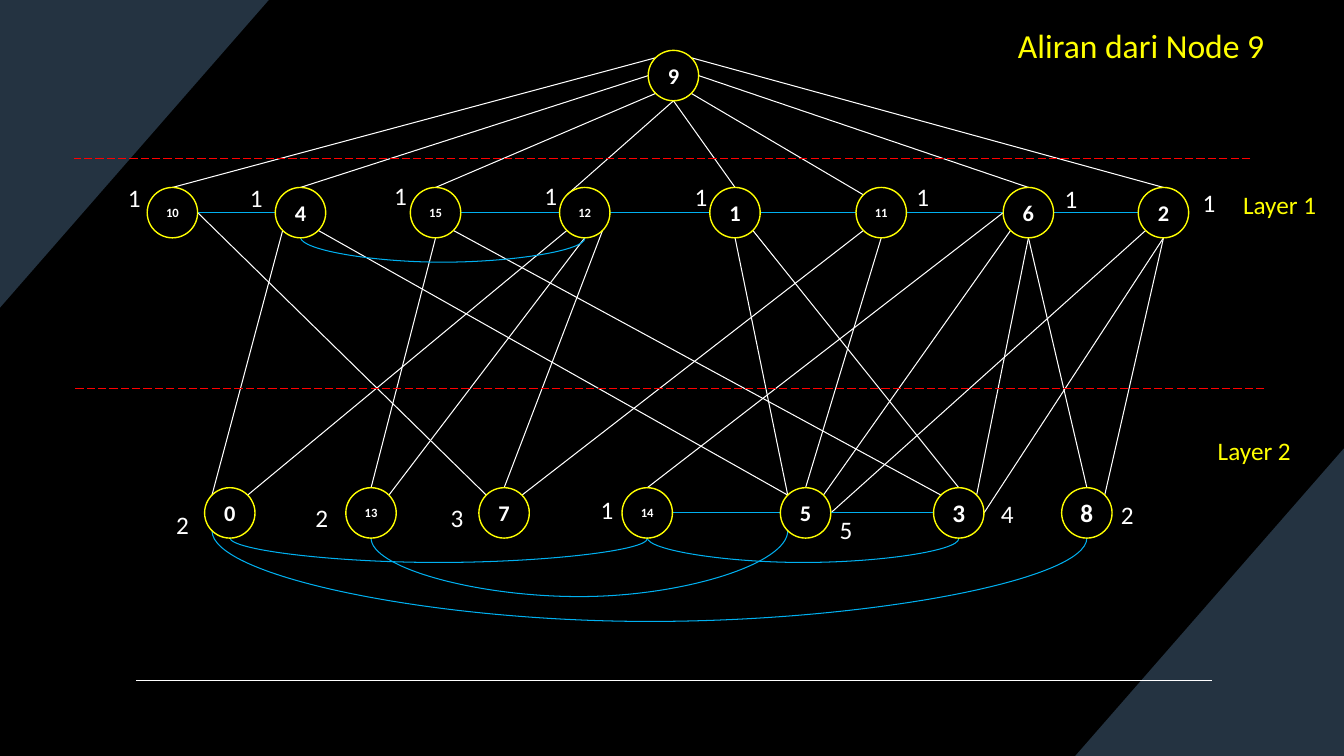
import collections
import dataclasses
import math

import lxml.etree
import pptx
import pptx.dml.color
import pptx.enum.dml
import pptx.enum.shapes
import pptx.enum.text
import pptx.oxml.ns
import pptx.util

Box = collections.namedtuple("Box", "x y w h")
Node = collections.namedtuple("Node", "x y size weight dx dy")


@dataclasses.dataclass(frozen=True)
class Theme:
    """Colours, type sizes and line widths of the slide."""
    back: str = "000000"
    corner: str = "243341"
    ink: str = "FFFFFF"
    accent: str = "FFFF00"
    peer: str = "00B0F0"
    divider: str = "FF0000"
    font: str = "Calibri"
    title: int = 24
    label: int = 18
    thin: float = 0.75
    rule: float = 1


THEME = Theme()
SLIDE = Box(0, 0, 13.33, 7.5)
DIAMETER = 0.5
COMPASS = ["E", "SE", "S", "SW", "W", "NW", "N", "NE"]
ROOT, LAYER_1, LAYER_2 = 0.1, 0.2813, 0.6785

NODES = {
    "9": Node(0.5011, ROOT, 16, "", 0, 0),
    "10": Node(0.1283, LAYER_1, 9, "1", -1.08, -0.7),
    "4": Node(0.2236, LAYER_1, 16, "1", -1.2, -0.7),
    "15": Node(0.3241, LAYER_1, 9, "1", -1.02, -0.74),
    "12": Node(0.4351, LAYER_1, 9, "1", -1, -0.74),
    "1": Node(0.5469, LAYER_1, 16, "1", -1, -0.72),
    "11": Node(0.6557, LAYER_1, 9, "1", 0.5, -0.72),
    "6": Node(0.7652, LAYER_1, 16, "1", 0.52, -0.68),
    "2": Node(0.8657, LAYER_1, 16, "1", 0.58, -0.6),
    "0": Node(0.171, LAYER_2, 16, "2", -1.26, -0.18),
    "13": Node(0.2761, LAYER_2, 9, "2", -1.3, -0.3),
    "7": Node(0.3751, LAYER_2, 16, "3", -1.26, -0.3),
    "14": Node(0.4816, LAYER_2, 9, "1", -1.12, -0.46),
    "5": Node(0.5994, LAYER_2, 16, "5", 0.48, -0.08),
    "3": Node(0.7134, LAYER_2, 18, "4", 0.64, -0.38),
    "8": Node(0.8087, LAYER_2, 18, "2", 0.48, -0.36),
}
TREE_EDGES = """
9:NW-10:N 9:W-4:N 9:SW-15:N 9:S-12:NW 9:S-1:N 9:SE-11:NW 9:E-6:N 9:NE-2:N
10:E-7:NW 4:SW-0:NW 4:SE-5:NW 15:S-13:N 15:SE-3:NW 12:SW-0:NE 12:S-13:NE
12:SE-7:N 1:S-5:NW 1:SE-3:N 11:SW-7:NE 11:S-5:N 6:W-14:N 6:SW-5:NE 6:S-3:NE
6:S-8:N 2:SW-5:E 2:S-3:E 2:S-8:NE
""".split()
PEER_EDGES = """
10:E-4:W 15:E-12:W 12:E-1:W 1:E-11:W 11:E-6:W 6:E-2:W 14:E-5:W 5:E-3:W
""".split()
PEER_CURVES = {"4:S-12:S": 0.5, "14:S-3:S": 0.5, "0:S-14:S": 0.5,
               "0:SW-8:S": 1.8, "13:S-5:SW": 1.16}


def rgb(value):
    """Return a colour object for a hex value."""
    return pptx.dml.color.RGBColor.from_string(value)


def inches(*values):
    """Convert lengths in inches to slide units."""
    return [pptx.util.Inches(v) for v in values]


def style_text(tf, text, size, color, bold=False):
    """Set a frame to one unwrapped line of styled text."""
    tf.text = text
    tf.word_wrap = False
    font = tf.paragraphs[0].runs[0].font
    font.name, font.size, font.bold = THEME.font, pptx.util.Pt(size), bold
    font.color.rgb = rgb(color)


def add_text(s, box, text, size, color):
    """Place a text box."""
    tb = s.shapes.add_textbox(*inches(*box))
    style_text(tb.text_frame, text, size, color)


def add_line(s, start, end, color, width=THEME.thin, kind="STRAIGHT"):
    """Draw a connector without shadow between two points."""
    kind = getattr(pptx.enum.shapes.MSO_CONNECTOR, kind)
    c = s.shapes.add_connector(kind, *inches(*start, *end))
    c.line.color.rgb = rgb(color)
    c.line.width = pptx.util.Pt(width)
    lxml.etree.SubElement(c._element.spPr, pptx.oxml.ns.qn("a:effectLst"))
    return c


def add_hanging_curve(s, start, end, depth, color):
    """Draw a curve from left to right that sags below its start."""
    (x1, y1), (x2, y2) = start, end
    across, span = max(abs(y2 - y1), 0.01), x2 - x1
    falling = y2 >= y1
    cx, cy = (x1 + x2) / 2, (y1 + y2) / 2
    left, top = cx - across / 2, cy - span / 2
    c = add_line(s, (left, top), (left + across, top + span), color, kind="CURVE")
    xfrm = c._element.spPr.find(pptx.oxml.ns.qn("a:xfrm"))
    xfrm.set("rot", str(270 * 60000))
    if falling:
        xfrm.set("flipH", "1")
    bend = depth / across if falling else -depth / across
    geom = c._element.spPr.find(pptx.oxml.ns.qn("a:prstGeom"))
    guides = geom.find(pptx.oxml.ns.qn("a:avLst"))
    if guides is None:
        guides = lxml.etree.SubElement(geom, pptx.oxml.ns.qn("a:avLst"))
    lxml.etree.SubElement(guides, pptx.oxml.ns.qn("a:gd"),
                          name="adj1", fmla=f"val {round(bend * 100000)}")


def center(box, name):
    """Return the centre of a node inside the box."""
    return box.x + NODES[name].x * box.w, box.y + NODES[name].y * box.h


def edge_ends(box, edge):
    """Return the two points on node outlines that an edge joins."""
    ends = []
    for end in edge.split("-"):
        name, side = end.split(":")
        x, y = center(box, name)
        angle = COMPASS.index(side) * math.pi / 4
        ends.append((x + DIAMETER / 2 * math.cos(angle),
                     y + DIAMETER / 2 * math.sin(angle)))
    return ends


def draw_backdrop(s, box):
    """Fill the background and draw both corners and the bottom rule."""
    s.background.fill.solid()
    s.background.fill.fore_color.rgb = rgb(THEME.back)
    w, h = box.w * 0.2, box.h * 0.407
    for x, y, sign in ((box.x, box.y, 1), (box.x + box.w, box.y + box.h, -1)):
        fb = s.shapes.build_freeform(*inches(x, y))
        fb.add_line_segments([inches(x + sign * w, y), inches(x, y + sign * h)])
        sp = fb.convert_to_shape()
        sp.shadow.inherit = False
        sp.fill.solid()
        sp.fill.fore_color.rgb = rgb(THEME.corner)
        sp.line.fill.background()
    y = box.y + box.h * 0.9
    add_line(s, (box.x + box.w * 0.1013, y), (box.x + box.w * 0.9017, y),
             THEME.ink, THEME.rule)


def draw_layers(s, box):
    """Draw the title, the layer names and the dashed dividers."""
    for text, x, y, w, h, size in (
            ("Aliran dari Node 9", 0.75, 0.027, 0.218, 0.067, THEME.title),
            ("Layer 1", 0.9175, 0.244, 0.07, 0.054, THEME.label),
            ("Layer 2", 0.8987, 0.5693, 0.07, 0.054, THEME.label)):
        area = (box.x + x * box.w, box.y + y * box.h, w * box.w, h * box.h)
        add_text(s, area, text, size, THEME.accent)
    for right, y in ((0.9302, 0.2093), (0.9407, 0.5133)):
        c = add_line(s, (box.x + right * box.w, box.y + y * box.h),
                     (box.x + 0.055 * box.w, box.y + y * box.h), THEME.divider)
        c.line.dash_style = pptx.enum.dml.MSO_LINE.LONG_DASH


def draw_edges(s, box):
    """Draw the edges between layers and within each layer."""
    for edges, color in ((TREE_EDGES, THEME.ink), (PEER_EDGES, THEME.peer)):
        for edge in edges:
            add_line(s, *edge_ends(box, edge), color)
    for edge, depth in PEER_CURVES.items():
        add_hanging_curve(s, *edge_ends(box, edge), depth * DIAMETER, THEME.peer)


def draw_nodes(s, box):
    """Draw the numbered circles with their weights."""
    for name, node in NODES.items():
        x, y = center(box, name)
        sp = s.shapes.add_shape(
            pptx.enum.shapes.MSO_SHAPE.OVAL,
            *inches(x - DIAMETER / 2, y - DIAMETER / 2, DIAMETER, DIAMETER))
        sp.shadow.inherit = False
        sp.fill.background()
        sp.line.color.rgb = rgb(THEME.accent)
        sp.line.width = pptx.util.Pt(THEME.rule)
        style_text(sp.text_frame, name, node.size, THEME.ink, True)
        sp.text_frame.vertical_anchor = pptx.enum.text.MSO_ANCHOR.MIDDLE
        sp.text_frame.paragraphs[0].alignment = pptx.enum.text.PP_ALIGN.CENTER
        if node.weight:
            area = (x + node.dx * DIAMETER, y + node.dy * DIAMETER, 0.33, 0.4)
            add_text(s, area, node.weight, THEME.label, THEME.ink)


def main():
    """Build and save the slide."""
    prs = pptx.Presentation()
    prs.slide_width, prs.slide_height = inches(SLIDE.w, SLIDE.h)
    s = prs.slides.add_slide(prs.slide_layouts[6])
    for draw in (draw_backdrop, draw_edges, draw_layers, draw_nodes):
        draw(s, SLIDE)
    prs.save("out.pptx")


if __name__ == "__main__":
    main()
